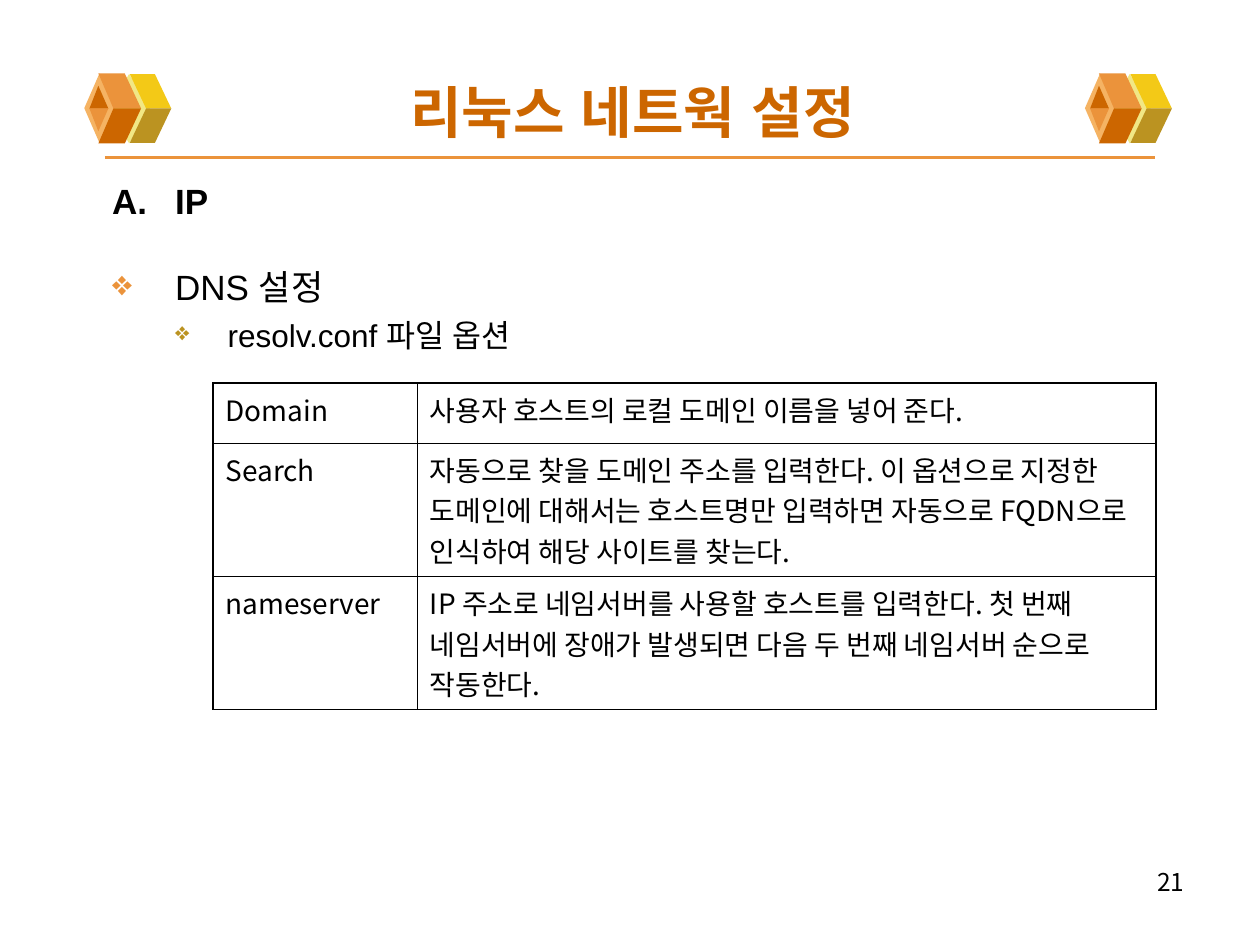
from lxml import etree
from pptx import Presentation
from pptx import util as u
from pptx.dml import color
from pptx.enum import shapes, text
from pptx.oxml import ns

Pt = u.Pt


def rgb(value):
    return color.RGBColor.from_string(value)


def write(paragraph, content, size=16, font="Noto Sans CJK KR", asian=None, ink="000000",
          bold=False, align=text.PP_ALIGN.LEFT, before=0, bullet=None, bullet_ink=None,
          bullet_size=100, margin=0, hanging=0):
    properties = paragraph._p.get_or_add_pPr()
    if bullet:
        properties.set("marL", str(Pt(margin)))
        properties.set("indent", str(-Pt(hanging)))
        holder = etree.SubElement(properties, ns.qn("a:buClr"))
        etree.SubElement(holder, ns.qn("a:srgbClr"), val=bullet_ink)
        etree.SubElement(properties, ns.qn("a:buSzPct"), val=str(bullet_size * 1000))
        if bullet == "A.":
            etree.SubElement(properties, ns.qn("a:buAutoNum"), type="alphaUcPeriod")
        else:
            etree.SubElement(properties, ns.qn("a:buChar"), char=bullet)
    paragraph.alignment = align
    paragraph.space_before = Pt(before)
    run = paragraph.add_run()
    run.text = content
    run.font.size = Pt(size)
    run.font.name = font
    run.font.bold = bold
    run.font.color.rgb = rgb(ink)
    etree.SubElement(run._r.get_or_add_rPr(), ns.qn("a:ea"), typeface=asian or font)


presentation = Presentation()
presentation.slide_width = Pt(720)
presentation.slide_height = Pt(540)
slide = presentation.slides.add_slide(presentation.slide_layouts[6])

rule = slide.shapes.add_connector(shapes.MSO_CONNECTOR.STRAIGHT, Pt(60), Pt(90), Pt(660), Pt(90))
rule.line.color.rgb = rgb("EB933B")
rule.line.width = Pt(2.25)
etree.SubElement(rule._element.spPr, ns.qn("a:effectLst"))

yellow_face = [(35.3, 0), (49.7, 0), (40.4, 19.6), (26, 19.6)]
orange_face = [(16.6, 0), (32.4, 0), (23.1, 20), (8, 20)]
hole = [(8, 13), (2.9, 0), (13.7, 0)]
cube_parts = [
    ((13.7, 42.3, 23.8, 39.6), "F1E785", None),
    (yellow_face, "F3C917", -1),
    (yellow_face, "BB9321", 1),
    ((0, 42, 17.3, 39.6), "F5B363", None),
    (orange_face, "EB933B", -1),
    (orange_face, "CC6600", 1),
    (hole, "CC6600", -1),
    (hole, "EB933B", 1),
]
cube_middle = 62
for cube_left in (48.2, 620):
    for geometry, fill, direction in cube_parts:
        if direction is None:
            left, top, width, height = geometry
            shape = slide.shapes.add_shape(shapes.MSO_SHAPE.DIAMOND, Pt(cube_left + left), Pt(top),
                                           Pt(width), Pt(height))
        else:
            points = [(round((cube_left + x) * 10), round((cube_middle + direction * y) * 10))
                      for x, y in geometry]
            builder = slide.shapes.build_freeform(*points[0], scale=Pt(0.1))
            builder.add_line_segments(points[1:], close=True)
            shape = builder.convert_to_shape()
        shape.shadow.inherit = False
        shape.fill.solid()
        shape.fill.fore_color.rgb = rgb(fill)
        shape.line.fill.background()

sans = dict(font="Arial", asian="Montserrat")
outline = dict(sans, size=20, margin=36, hanging=36)
text_boxes = [
    ((516, 492, 168, 21.6), text.MSO_ANCHOR.TOP,
     [("21", dict(size=14, align=text.PP_ALIGN.RIGHT))]),
    ((57, 99.3, 623.5, 396.7), text.MSO_ANCHOR.TOP, [
        ("IP", dict(outline, bold=True, bullet="A.", bullet_ink="000000")),
        ("DNS 설정", dict(outline, before=25, bullet="❖", bullet_ink="EB933B")),
        ("resolv.conf 파일 옵션", dict(sans, size=18, before=4.5, bullet="❖", bullet_ink="BB9321",
                                   bullet_size=80, margin=66, hanging=30)),
    ]),
    ((85, 42.5, 553, 42.5), text.MSO_ANCHOR.MIDDLE,
     [("리눅스 네트웍 설정", dict(size=32, font="Montserrat", ink="CC6600", bold=True,
                          align=text.PP_ALIGN.CENTER))]),
]
for bounds, anchor, lines in text_boxes:
    frame = slide.shapes.add_textbox(*map(Pt, bounds)).text_frame
    frame.word_wrap = True
    frame.vertical_anchor = anchor
    for index, (content, style) in enumerate(lines):
        paragraph = frame.add_paragraph() if index else frame.paragraphs[0]
        write(paragraph, content, **style)

options = [
    ("Domain", "사용자 호스트의 로컬 도메인 이름을 넣어 준다."),
    ("Search", "자동으로 찾을 도메인 주소를 입력한다. 이 옵션으로 지정한 도메인에 대해서는 "
               "호스트명만 입력하면 자동으로 FQDN으로 인식하여 해당 사이트를 찾는다."),
    ("nameserver", "IP 주소로 네임서버를 사용할 호스트를 입력한다. 첫 번째 네임서버에 장애가 "
                   "발생되면 다음 두 번째 네임서버 순으로 작동한다."),
]
column_widths = [116.7, 422.3]
row_heights = [34.2, 76.2, 76.2]
table = slide.shapes.add_table(3, 2, Pt(121.8), Pt(218.9), Pt(sum(column_widths)),
                               Pt(sum(row_heights))).table
table.first_row = False
table.horz_banding = False
for column, width in zip(table.columns, column_widths):
    column.width = Pt(width)
for row_index, (row, height) in enumerate(zip(table.rows, row_heights)):
    row.height = Pt(height)
    for column_index, cell in enumerate(row.cells):
        write(cell.text_frame.paragraphs[0], options[row_index][column_index])
        properties = cell._tc.get_or_add_tcPr()
        outer_sides = {"lnL": column_index == 0, "lnR": column_index == 1,
                       "lnT": row_index == 0, "lnB": row_index == 2}
        for side, outer in outer_sides.items():
            border = etree.SubElement(properties, ns.qn("a:" + side), w=str(Pt(1.08 if outer else 0.45)))
            fill = etree.SubElement(border, ns.qn("a:solidFill"))
            etree.SubElement(fill, ns.qn("a:srgbClr"), val="000000")
        cell.fill.background()

presentation.save("out.pptx")
